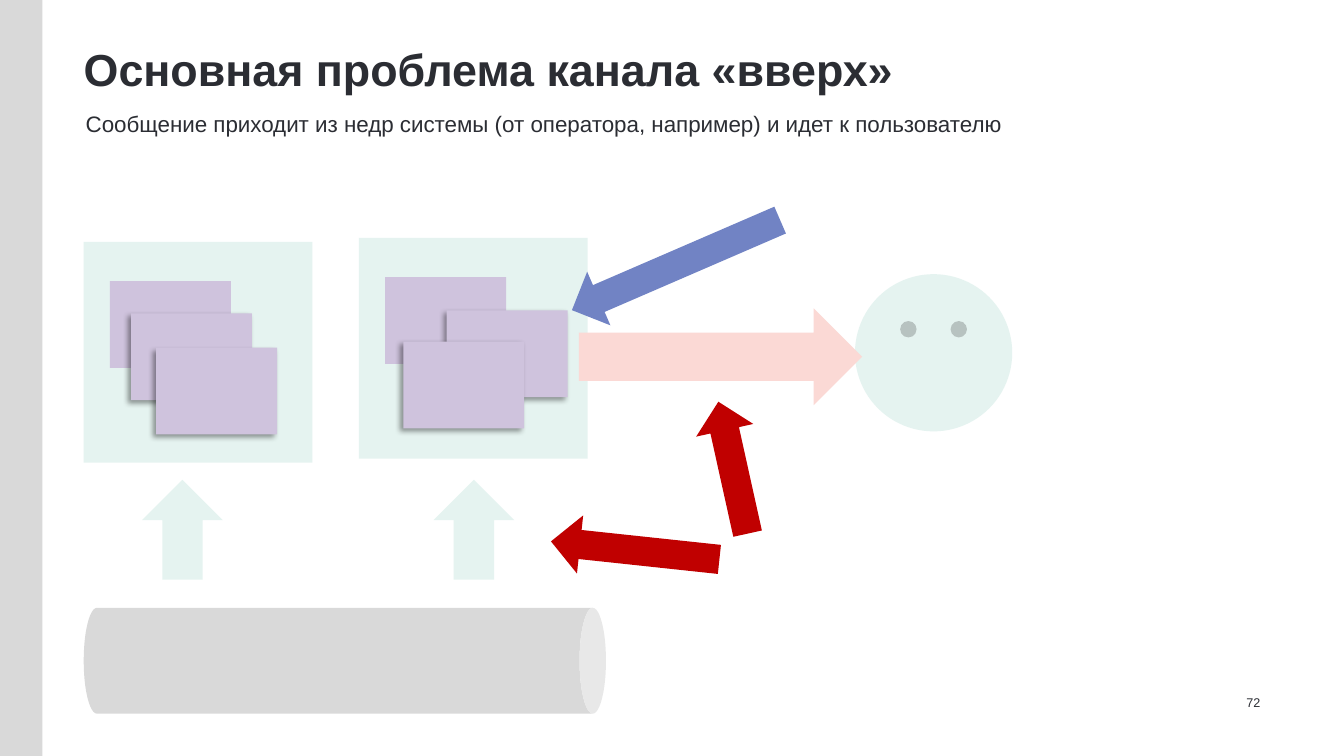
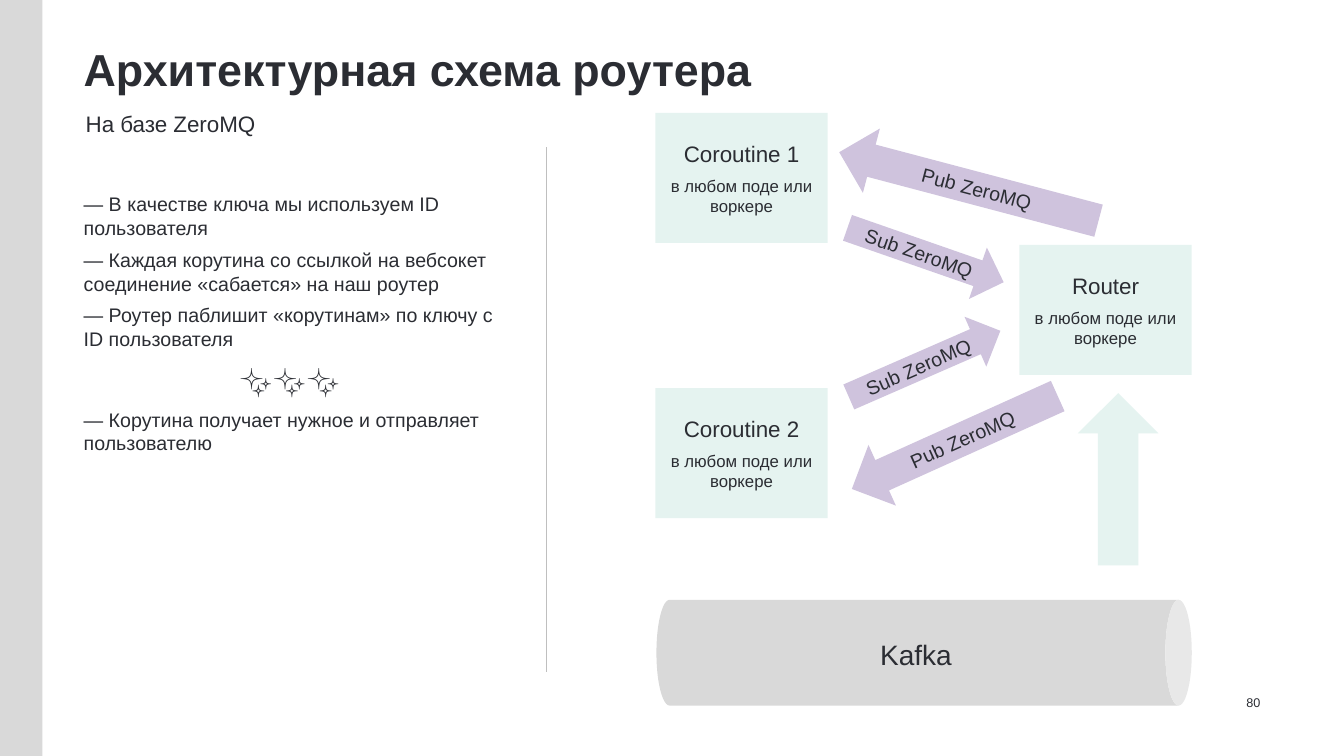
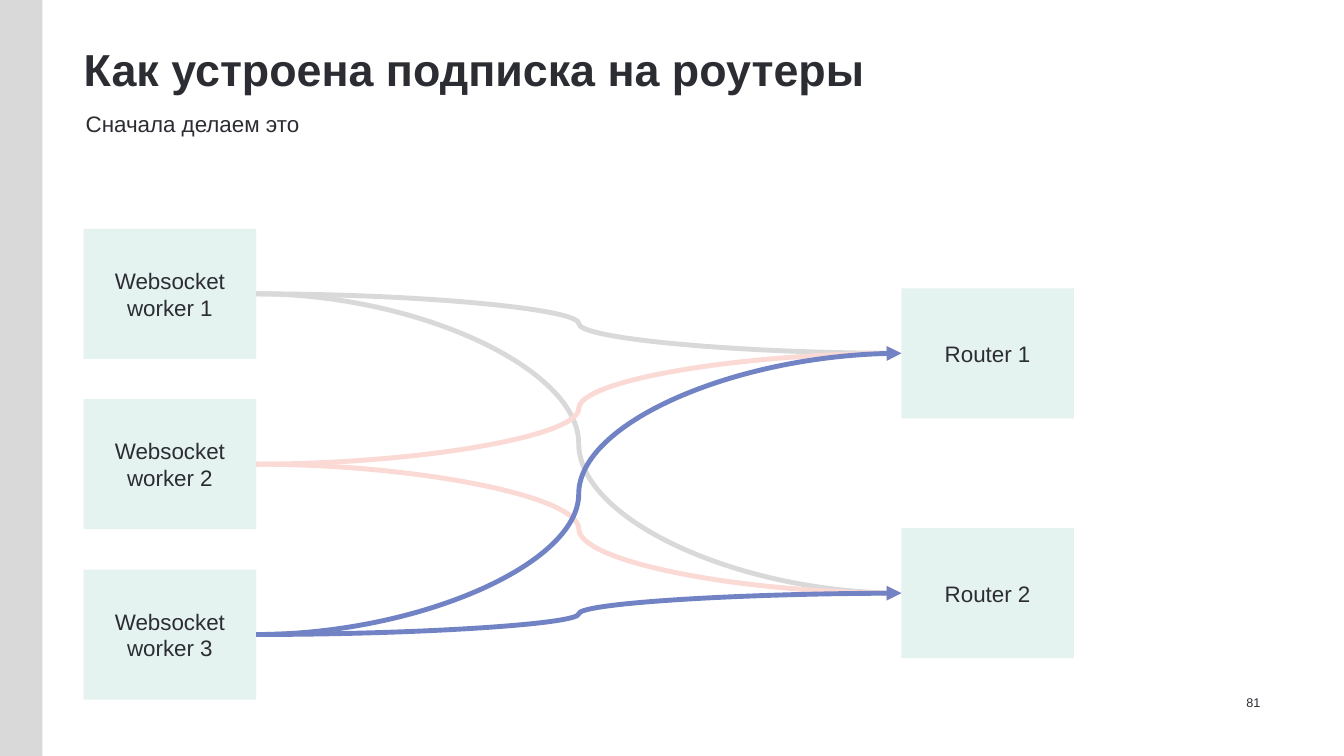
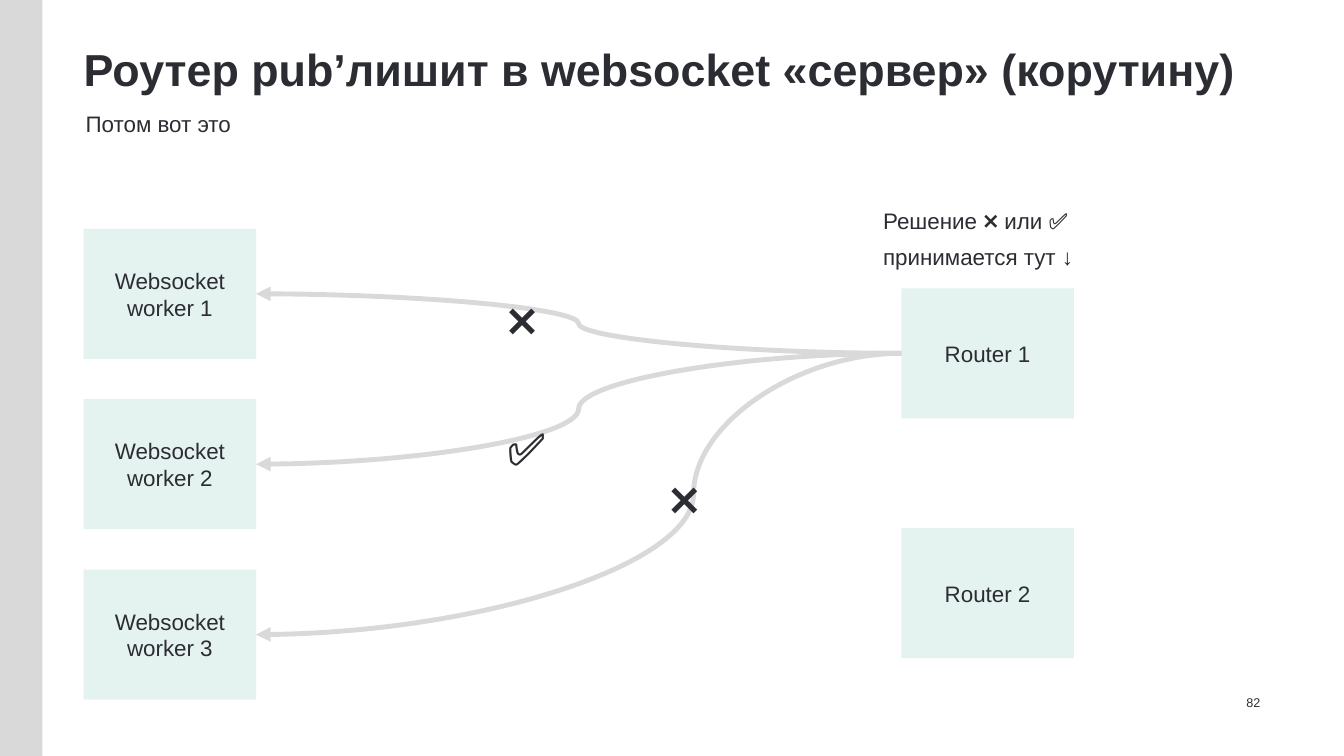
from lxml import etree
from pptx import Presentation
from pptx.dml.color import RGBColor
from pptx.enum import shapes, text
from pptx.oxml import ns
from pptx.util import Emu, Pt

PX = 9144  # EMU in one px, 100 px to the inch
FONT = "Arial"
INK = RGBColor(0x2B, 0x2D, 0x33)
GREY = RGBColor(0xD9, 0xD9, 0xD9)
RULE = RGBColor(0xBF, 0xBF, 0xBF)
MINT = RGBColor(0xE5, 0xF3, 0xF0)
LILAC = RGBColor(0xCF, 0xC3, 0xDD)
PINK = RGBColor(0xFB, 0xD9, 0xD5)
RED = RGBColor(0xC0, 0x00, 0x00)
BLUE = RGBColor(0x71, 0x83, 0xC4)

KIND = shapes.MSO_SHAPE
ALIGN = text.PP_ALIGN
ANCHOR = text.MSO_ANCHOR
NODE_W, NODE_H = 171, 129


def px(*lengths):
    return [Emu(round(n * PX)) for n in lengths]


def child(parent, tag, **attrs):
    el = etree.SubElement(parent, ns.qn(tag))
    for name, value in attrs.items():
        el.set(name, str(value))
    return el


# --- Text and shapes ---

def write(tf, paras, align=ALIGN.LEFT):
    """Each paragraph is a list of runs: (text, size) or (text, size, bold)."""
    tf.word_wrap = True
    for i, runs in enumerate(paras):
        p = tf.add_paragraph() if i else tf.paragraphs[0]
        p.alignment = align
        p.space_before = Pt(6 if i else 0)
        for words, size, *bold in runs:
            r = p.add_run()
            r.text = words
            r.font.name = FONT
            r.font.size = Pt(size)
            r.font.color.rgb = INK
            r.font.bold = bool(bold and bold[0])


def add_text(s, box, paras, align=ALIGN.LEFT, anchor=ANCHOR.TOP, left=0, right=10):
    tf = s.shapes.add_textbox(*px(*box)).text_frame
    tf.margin_left, tf.margin_right = px(left, right)
    tf.vertical_anchor = anchor
    write(tf, paras, align)
    return tf


def add_shape(s, kind, box, fill, paras=(), turn=0):
    sp = s.shapes.add_shape(kind, *px(*box))
    sp.shadow.inherit = False
    sp.fill.solid()
    sp.fill.fore_color.rgb = fill
    sp.line.fill.background()
    sp.rotation = turn
    sp.text_frame.vertical_anchor = ANCHOR.MIDDLE
    write(sp.text_frame, paras, ALIGN.CENTER)
    return sp


def add_shadow(sp):
    effects = sp._element.spPr.find(ns.qn("a:effectLst"))
    shadow = child(effects, "a:outerShdw", blurRad=Pt(4), dist=Pt(3),
                   dir=135 * 60000, algn="tr", rotWithShape=0)
    child(child(shadow, "a:srgbClr", val="000000"), "a:alpha", val=40000)


def add_line(s, kind, ends, color, width):
    line = s.shapes.add_connector(kind, *px(*ends))
    line.line.color.rgb = color
    line.line.width = Pt(width)
    child(line._element.spPr, "a:effectLst")
    return line


def add_curve(s, start, start_side, end, end_side, color, bend=None):
    curve = add_line(s, shapes.MSO_CONNECTOR.CURVE, (0, 0, 1, 1), color, 3.5)
    curve.begin_connect(start, start_side)
    curve.end_connect(end, end_side)
    child(curve.line._get_or_add_ln(), "a:tailEnd", type="triangle")
    if bend:
        guides = curve._element.spPr.prstGeom.get_or_add_avLst()
        child(guides, "a:gd", name="adj1", fmla=f"val {bend}")


# --- Parts shared by the slides ---

def add_frame(prs, title, subtitle, number, subtitle_width=740):
    s = prs.slides.add_slide(prs.slide_layouts[6])
    add_shape(s, KIND.RECTANGLE, (0, 0, 42, 750), GREY)
    tf = add_text(s, (83, 42, 1167, 62), [[(title, 32, True)]])
    tf.paragraphs[0].line_spacing = 0.9
    add_text(s, (83, 104, subtitle_width, 62), [[(subtitle, 16)]], left=2)
    add_text(s, (1167, 667, 83, 42), [[(number, 9)]],
             ALIGN.RIGHT, ANCHOR.BOTTOM, left=10, right=0)
    return s


def add_pipe(s, x, y, w, h):
    """Lying cylinder that fills the given box."""
    add_shape(s, KIND.CAN, (x + (w - h) / 2, y + (h - w) / 2, h, w), GREY, turn=90)


def add_node(s, x, y, name, note=None):
    paras = [[(name, 16)]] + ([[(note, 12)]] if note else [])
    return add_shape(s, KIND.RECTANGLE, (x, y, NODE_W, NODE_H), MINT, paras)


def add_workers_and_routers(s):
    workers = [add_node(s, 83, 227 + 169 * i, f"Websocket worker {i + 1}") for i in range(3)]
    routers = [add_node(s, 894, 286 + 238 * i, f"Router {i + 1}") for i in range(2)]
    return workers, routers


# --- Slide 1: message going up ---

def add_card_panel(s, x, y, offsets):
    add_shape(s, KIND.RECTANGLE, (x, y, 227, 219), MINT)
    for i, (dx, dy) in enumerate(offsets):
        card = add_shape(s, KIND.RECTANGLE, (x + dx, y + dy, 120, 86), LILAC)
        if i:
            add_shadow(card)


def slide_problem(prs):
    s = add_frame(prs, "Основная проблема канала «вверх»",
                  "Сообщение приходит из недр системы (от оператора, например) "
                  "и идет к пользователю", "72", 945)
    add_pipe(s, 83, 603, 518, 105)
    add_card_panel(s, 83, 240, [(26, 39), (47, 71), (72, 105)])
    add_card_panel(s, 356, 236, [(26, 39), (87, 72), (44, 103)])
    for x in (141, 430):
        add_shape(s, KIND.UP_ARROW, (x, 476, 80, 99), MINT)
    add_shape(s, KIND.SMILEY_FACE, (848, 272, 156, 156), MINT)
    for box, fill, turn in [
        ((574, 306, 281, 96), PINK, 0),
        ((660, 435, 134, 58), RED, 257.5),
        ((546, 517, 168, 58), RED, 186.1),
        ((558, 234, 225, 58), BLUE, 156.6),
    ]:
        add_shape(s, KIND.RIGHT_ARROW, box, fill, turn=turn)


# --- Slide 2: router scheme ---

def slide_scheme(prs):
    s = add_frame(prs, "Архитектурная схема роутера", "На базе ZeroMQ", "80", 418)
    # Explanation on the left
    tf = add_text(s, (83, 186, 418, 293), [
        [("— В качестве ключа мы используем ID пользователя", 14)],
        [("— Каждая корутина со ссылкой на вебсокет соединение "
          "«сабается» на наш роутер", 14)],
        [("— Роутер паблишит «корутинам» по ключу с ID пользователя", 14)],
        [("✨✨✨", 24)],
        [("— Корутина получает нужное и отправляет пользователю", 14)],
    ])
    tf.paragraphs[3].alignment = ALIGN.CENTER
    add_line(s, shapes.MSO_CONNECTOR.STRAIGHT, (542, 146, 542, 667), RULE, 1)
    # Scheme on the right
    for x, y, name in [(650, 112, "Coroutine 1"), (650, 385, "Coroutine 2"),
                       (1011, 243, "Router")]:
        add_node(s, x, y, name, "в любом поде или воркере")
    add_shape(s, KIND.UP_ARROW, (1069, 390, 80, 171), MINT)
    for kind, box, turn, label in [
        (KIND.RIGHT_ARROW, (836, 226, 164, 54), 19.2, "Sub ZeroMQ"),
        (KIND.RIGHT_ARROW, (835, 334, 164, 54), 336.4, "Sub ZeroMQ"),
        (KIND.LEFT_ARROW, (828, 152, 266, 66), 14.8, "Pub ZeroMQ"),
        (KIND.LEFT_ARROW, (835, 406, 224, 66), 335.7, "Pub ZeroMQ"),
    ]:
        add_shape(s, kind, box, LILAC, [[(label, 14)]], turn)
    add_pipe(s, 651, 595, 531, 105)
    add_text(s, (873, 628, 100, 44), [[("Kafka", 20)]])


# --- Slide 3: every worker subscribes to every router ---

def slide_subscribe(prs):
    s = add_frame(prs, "Как устроена подписка на роутеры", "Сначала делаем это", "81")
    workers, routers = add_workers_and_routers(s)
    for worker, color in zip(workers, (GREY, PINK, BLUE)):
        for router in routers:
            add_curve(s, worker, 3, router, 1, color)


# --- Slide 4: router publishes to the workers ---

def slide_publish(prs):
    s = add_frame(prs, "Роутер pub’лишит в websocket «сервер» (корутину)",
                  "Потом вот это", "82")
    workers, routers = add_workers_and_routers(s)
    for worker, bend in zip(workers, (None, None, 32200)):
        add_curve(s, routers[0], 1, worker, 3, GREY, bend)
    for x, y, mark in [(503, 285, "❌"), (664, 463, "❌"), (503, 412, "✅")]:
        add_text(s, (x, y, 60, 93), [[(mark, 32, mark == "✅")]])
    add_text(s, (876, 201, 206, 72), [
        [("Решение ❌ или ", 16), ("✅", 16, True)],
        [("принимается тут ↓", 16)],
    ])


def main():
    prs = Presentation()
    prs.slide_width, prs.slide_height = px(1333, 750)
    slide_problem(prs)
    slide_scheme(prs)
    slide_subscribe(prs)
    slide_publish(prs)
    prs.save("out.pptx")


if __name__ == "__main__":
    main()
